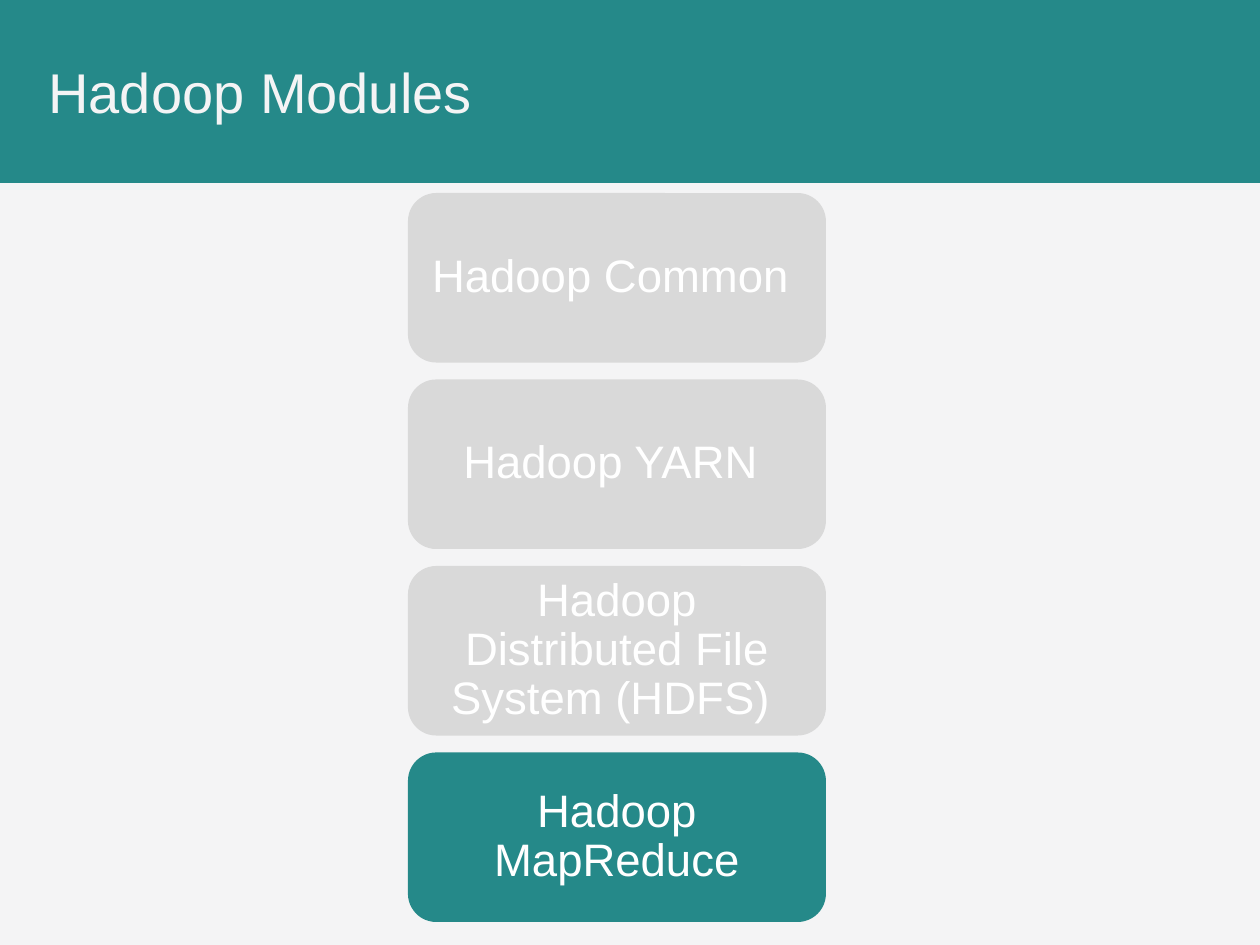
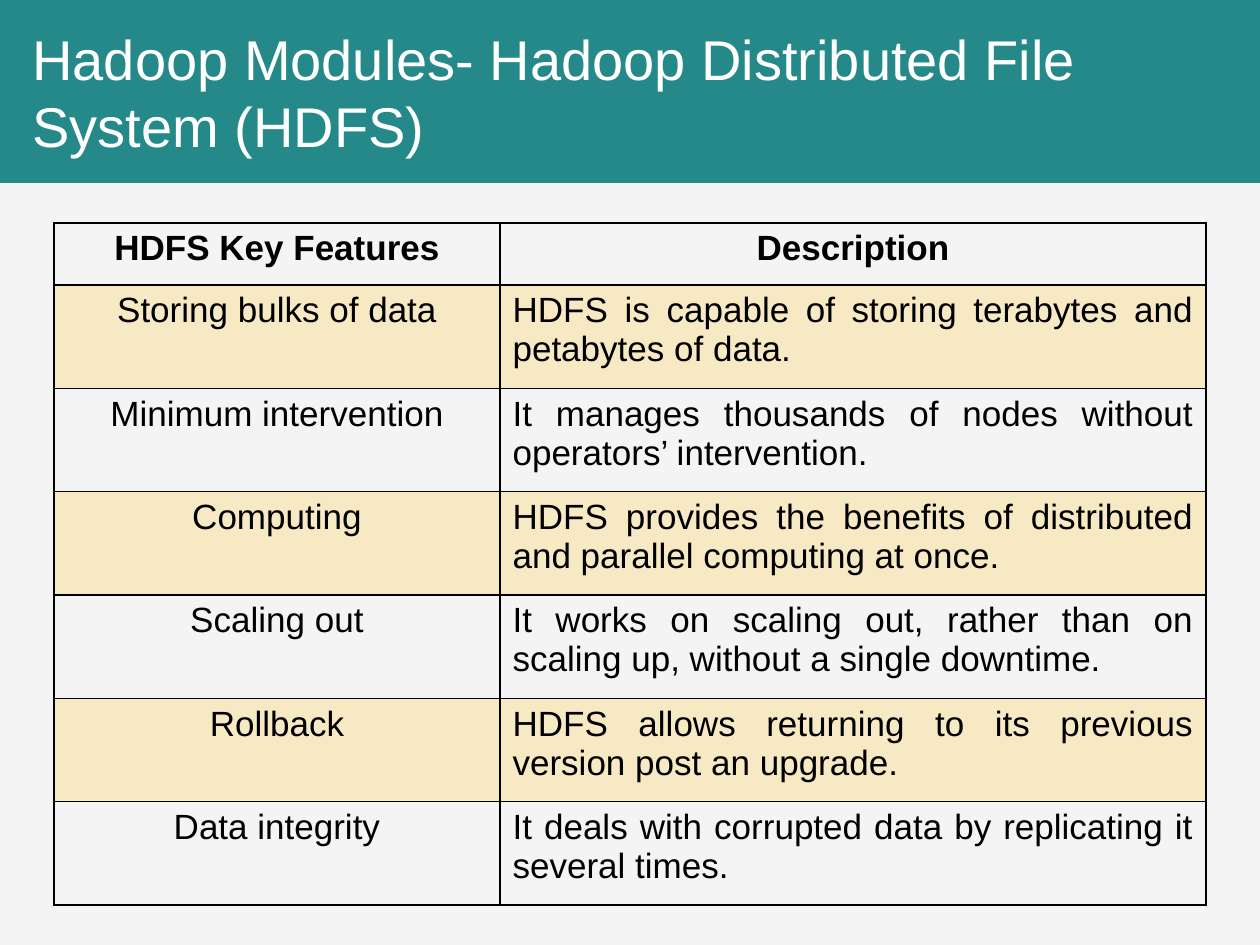
from lxml.etree import SubElement
from pptx import Presentation
from pptx.dml.color import RGBColor
from pptx.enum.shapes import MSO_SHAPE as Shape
from pptx.enum.text import MSO_ANCHOR as Anchor, PP_ALIGN as Align
from pptx.oxml.ns import qn
from pptx.util import Pt

PX = 914400 / 126
FONT = "Arial"
COLORS = {
    "teal": "258989",
    "paper": "F4F4F5",
    "white": "FFFFFF",
    "grey": "D9D9D9",
    "amber": "FFC000",
    "black": "000000",
}
SLIDE_WIDTH, SLIDE_HEIGHT, BAND_HEIGHT = 1260, 945, 183

MODULES = [
    ("Hadoop Common ", "grey"),
    ("Hadoop YARN ", "grey"),
    ("Hadoop Distributed File System (HDFS) ", "grey"),
    ("Hadoop MapReduce", "teal"),
]
FEATURES = [
    ("HDFS Key Features", "Description"),
    ("Storing bulks of data", "HDFS is capable of storing terabytes and petabytes of data."),
    ("Minimum intervention", "It manages thousands of nodes without operators’ intervention."),
    ("Computing", "HDFS provides the benefits of distributed and parallel computing at once."),
    ("Scaling out", "It works on scaling out, rather than on scaling up, without a single downtime."),
    ("Rollback", "HDFS allows returning to its previous version post an upgrade."),
    ("Data integrity", "It deals with corrupted data by replicating it several times."),
]


def emu(*lengths):
    return [round(length * PX) for length in lengths]


def rgb(name):
    return RGBColor.from_string(COLORS[name])


def write(frame, text, size, color, align=Align.LEFT, bold=False):
    paragraph = frame.paragraphs[0]
    paragraph.alignment = align
    run = paragraph.add_run()
    run.text = text
    run.font.name = FONT
    run.font.size = Pt(size)
    run.font.bold = bold
    run.font.color.rgb = rgb(color)
    return paragraph


def add_block(slide, kind, box, color):
    shape = slide.shapes.add_shape(kind, *emu(*box))
    shape.shadow.inherit = False
    shape.fill.solid()
    shape.fill.fore_color.rgb = rgb(color)
    shape.line.fill.background()
    return shape


def add_titled_slide(presentation, title, box, color):
    slide = presentation.slides.add_slide(presentation.slide_layouts[6])
    slide.background.fill.solid()
    slide.background.fill.fore_color.rgb = rgb("paper")
    add_block(slide, Shape.RECTANGLE, (0, 0, SLIDE_WIDTH, BAND_HEIGHT), "teal")
    frame = slide.shapes.add_textbox(*emu(*box)).text_frame
    frame.word_wrap = True
    frame.vertical_anchor = Anchor.MIDDLE
    write(frame, title, 32, color)
    return slide


def add_module_stack(slide, box, gap):
    left, top, width, height = box
    card_height = (height - gap * (len(MODULES) - 1)) / len(MODULES)
    for index, (name, color) in enumerate(MODULES):
        card_top = top + index * (card_height + gap)
        card = add_block(slide, Shape.ROUNDED_RECTANGLE, (left, card_top, width, card_height), color)
        frame = card.text_frame
        frame.word_wrap = True
        frame.vertical_anchor = Anchor.MIDDLE
        frame.margin_left, frame.margin_right = emu(13, 13)
        frame.margin_top, frame.margin_bottom = emu(7, 7)
        write(frame, name, 26, "white", Align.CENTER).line_spacing = 0.9


def add_borders(cell):
    properties = cell._tc.get_or_add_tcPr()
    for position, side in enumerate(("a:lnL", "a:lnR", "a:lnT", "a:lnB")):
        line = properties.makeelement(qn(side), {"w": str(Pt(1))})
        fill = SubElement(line, qn("a:solidFill"))
        SubElement(fill, qn("a:srgbClr"), val=COLORS["black"])
        properties.insert(position, line)


def fill_cell(cell, shaded):
    if not shaded:
        cell.fill.background()
        return
    cell.fill.solid()
    cell.fill.fore_color.rgb = rgb("amber")
    color = cell._tc.tcPr.find(".//" + qn("a:srgbClr"))
    SubElement(color, qn("a:alpha"), val="20000")


def add_feature_table(slide, box, name_width, header_height):
    left, top, width, height = box
    table = slide.shapes.add_table(len(FEATURES), 2, *emu(*box)).table
    table.first_row = table.horz_banding = False
    table.columns[0].width, table.columns[1].width = emu(name_width, width - name_width)
    row_height = (height - header_height) / (len(FEATURES) - 1)
    for row, texts in enumerate(FEATURES):
        is_header = row == 0
        table.rows[row].height = emu(header_height if is_header else row_height)[0]
        for column, text in enumerate(texts):
            cell = table.cell(row, column)
            centred = is_header or column == 0
            fill_cell(cell, row % 2 == 1)
            add_borders(cell)
            write(cell.text_frame, text, 20, "black", Align.CENTER if centred else Align.JUSTIFY, is_header)


def main():
    presentation = Presentation()
    presentation.slide_width, presentation.slide_height = emu(SLIDE_WIDTH, SLIDE_HEIGHT)

    modules = add_titled_slide(presentation, "Hadoop Modules", (36, 0, 1098, BAND_HEIGHT), "paper")
    add_module_stack(modules, (408, 193, 418, 729), 17)

    features = add_titled_slide(
        presentation,
        "Hadoop Modules- Hadoop Distributed File System (HDFS)",
        (20, 0, 1178, BAND_HEIGHT),
        "white",
    )
    add_feature_table(features, (54, 223, 1152, 682), 446, 62)

    presentation.save("out.pptx")


if __name__ == "__main__":
    main()
